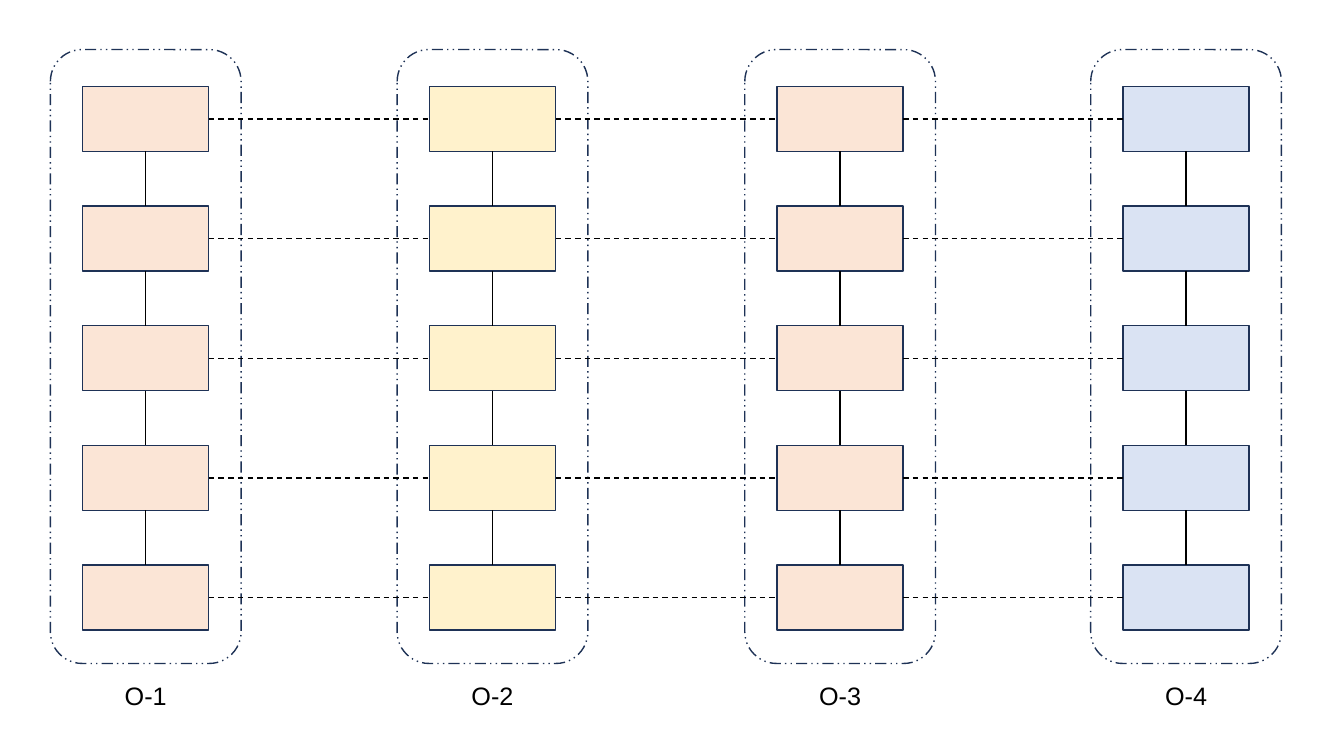
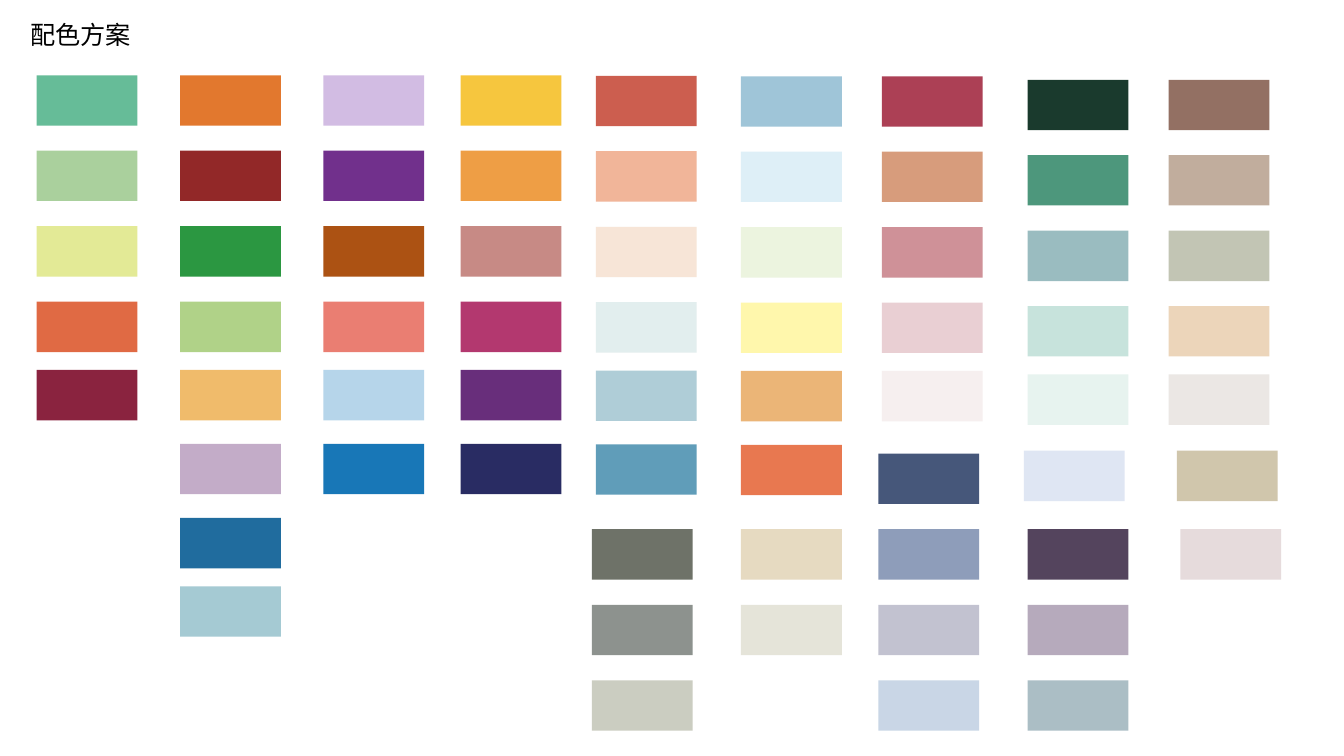
from itertools import pairwise

from lxml import etree
from pptx import Presentation
from pptx.dml.color import RGBColor
from pptx.enum.dml import MSO_LINE
from pptx.enum.shapes import MSO_CONNECTOR, MSO_SHAPE
from pptx.enum.text import MSO_AUTO_SIZE, PP_ALIGN
from pptx.oxml.ns import qn
from pptx.util import Pt

RECT, ROUND = MSO_SHAPE.RECTANGLE, MSO_SHAPE.ROUNDED_RECTANGLE
STRAIGHT = MSO_CONNECTOR.STRAIGHT
DASH, DOTTED = MSO_LINE.DASH, MSO_LINE.DASH_DOT_DOT
LEFT, CENTER = PP_ALIGN.LEFT, PP_ALIGN.CENTER
FIT = MSO_AUTO_SIZE.SHAPE_TO_FIT_TEXT
TOP_SIDE, LEFT_SIDE, LOW_SIDE, RIGHT_SIDE = range(4)

NAVY, BLACK = "1E3256", "000000"
PEACH, CREAM, SKY = "FBE5D6", "FFF2CC", "DAE3F3"

# Slide 1: left edge, label and fill of each panel
PANELS = [
    (36, "O-1", PEACH),
    (283.7, "O-2", CREAM),
    (532, "O-3", PEACH),
    (779.1, "O-4", SKY),
]
PANEL_TOP, PANEL_W, PANEL_H = 35.4, 136.2, 438.5
BOX_TOP, BOX_W, BOX_H, BOX_STEP, BOX_COUNT = 61.7, 90, 46.4, 85.5, 5
LABEL_TOP, LABEL_W, LABEL_H = 482.4, 44.6, 28.8

# Slide 2: left edge, top and colours of each column
SWATCH_W, SWATCH_H = 72, 36
MAIN_ROWS = [0, 53.8, 107.8, 161.7, 210.5, 263.2, 316.2, 365]
MAIN = [
    (26.2, 53.8, "66BC98 AAD09D E3EA96 E06A44 8A233F"),
    (128.6, 53.8, "E2782E 922828 2B9741 B0D288 F0BB6B C3ACC8 206C9E A5CAD3"),
    (231, 53.8, "D2BCE3 71308C AC5213 EA7E72 B6D5EA 1877B7"),
    (329, 53.8, "F6C63E EE9E45 C78A85 B3386F 682E7B 292C63"),
    (425.6, 54.2, "CC5E4F F1B599 F7E5D7 E2EEEE AFCDD7 609DB9"),
    (529.3, 54.5, "9FC5D8 DEEFF7 ECF4DF FFF7AC EBB577 E87850"),
    (630, 54.5, "AC4055 D79C7C CF9198 E9CFD3 F6EFEF"),
    (734, 57, "1A3A2D 4D977C 9ABCC0 C7E3DC E7F3EF"),
    (834.7, 57, "937063 C1AD9D C2C5B4 ECD5BA EBE7E4"),
]
LOWER_ROWS = [0, 54, 108, 162]
LOWER = [
    (422.8, 378, "6E7268 8D928E CBCDC1"),
    (529.3, 378, "E6DAC1 E5E4D9"),
    (627.4, 324, "46577A 8E9DBA C2C2D0 C9D6E6"),
    (731.4, 322, "DFE6F3"),
    (734, 378, "54445D B6AABC ABBEC5"),
    (840.6, 322, "D0C6AC"),
    (843.1, 378, "E6DBDC"),
]


def tint(color, code):
    color.rgb = RGBColor.from_string(code)


class Deck:
    """Holds the shared style and the current slide."""

    def __init__(self):
        self.prs = Presentation()
        self.prs.slide_width, self.prs.slide_height = Pt(960), Pt(540)
        self.slide = None

    def page(self):
        self.slide = self.prs.slides.add_slide(self.prs.slide_layouts[6])

    def stroke(self, line, color, dash=None):
        tint(line.color, color)
        line.width = Pt(1)
        if dash is not None:
            line.dash_style = dash

    def shape(self, kind, x, y, w, h, fill=None, line=None, dash=None):
        item = self.slide.shapes.add_shape(kind, Pt(x), Pt(y), Pt(w), Pt(h))
        item.shadow.inherit = False
        if fill:
            item.fill.solid()
            tint(item.fill.fore_color, fill)
        else:
            item.fill.background()
        if line:
            self.stroke(item.line, line, dash)
        else:
            item.line.fill.background()
        return item

    def link(self, start, side, end, far, dash=None):
        """Join a side of one box to a side of another."""
        wire = self.slide.shapes.add_connector(STRAIGHT, 0, 0, 0, 0)
        wire.begin_connect(start, side)
        wire.end_connect(end, far)
        self.stroke(wire.line, BLACK, dash)
        etree.SubElement(wire._element.spPr, qn("a:effectLst"))

    def text(self, words, x, y, w, h, font="Arial", size=18, color=BLACK, align=LEFT):
        frame = self.slide.shapes.add_textbox(Pt(x), Pt(y), Pt(w), Pt(h)).text_frame
        frame.word_wrap = False
        frame.auto_size = FIT
        para = frame.paragraphs[0]
        para.alignment = align
        run = para.add_run()
        run.text = words
        run.font.name, run.font.size = font, Pt(size)
        tint(run.font.color, color)
        etree.SubElement(run._r.get_or_add_rPr(), qn("a:ea"), typeface=font)

    def swatches(self, columns, rows):
        for x, top, codes in columns:
            for row, code in zip(rows, codes.split()):
                self.shape(RECT, x, top + row, SWATCH_W, SWATCH_H, code)


def draw_chains(deck):
    deck.page()
    chains = []
    for x, name, fill in PANELS:
        deck.shape(ROUND, x, PANEL_TOP, PANEL_W, PANEL_H, line=NAVY, dash=DOTTED)
        left = x + (PANEL_W - BOX_W) / 2
        chain = [
            deck.shape(RECT, left, BOX_TOP + i * BOX_STEP, BOX_W, BOX_H, fill, NAVY)
            for i in range(BOX_COUNT)
        ]
        for upper, lower in pairwise(chain):
            deck.link(upper, LOW_SIDE, lower, TOP_SIDE)
        deck.text(name, x + (PANEL_W - LABEL_W) / 2, LABEL_TOP, LABEL_W, LABEL_H,
                  align=CENTER)
        chains.append(chain)
    for chain, after in pairwise(chains):
        for box, peer in zip(chain, after):
            deck.link(box, RIGHT_SIDE, peer, LEFT_SIDE, DASH)


def draw_colors(deck):
    deck.page()
    deck.text("配色方案", 14.4, 10.1, 87.1, 28.8, font="Noto Sans CJK SC")
    deck.swatches(MAIN, MAIN_ROWS)
    deck.swatches(LOWER, LOWER_ROWS)


def main():
    deck = Deck()
    draw_chains(deck)
    draw_colors(deck)
    deck.prs.save("out.pptx")


if __name__ == "__main__":
    main()
